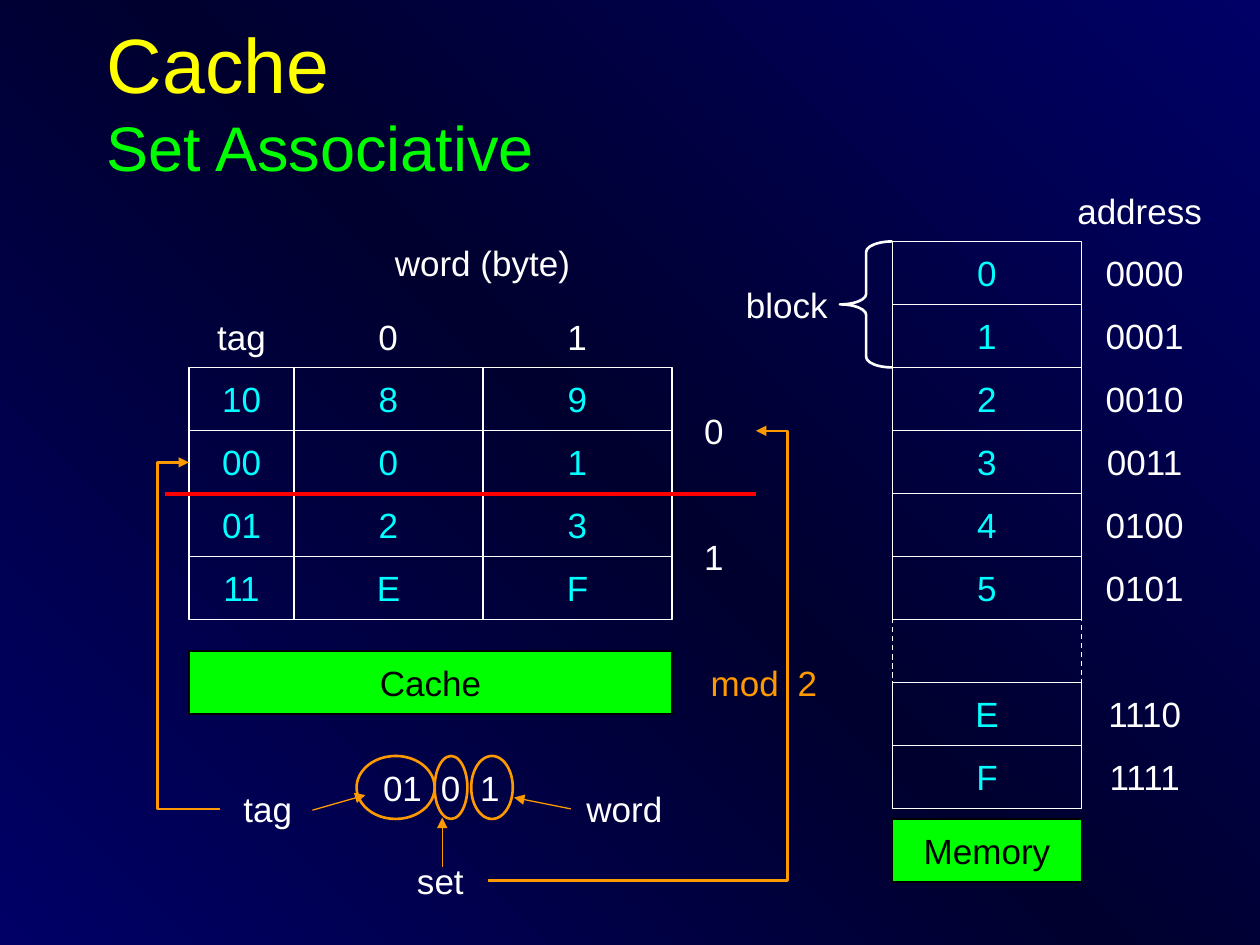
from copy import deepcopy
from dataclasses import dataclass

from lxml import etree
from pptx import Presentation
from pptx.dml.color import RGBColor
from pptx.enum.dml import MSO_LINE
from pptx.enum.shapes import MSO_CONNECTOR, MSO_SHAPE
from pptx.enum.text import MSO_ANCHOR, PP_ALIGN
from pptx.oxml.ns import qn
from pptx.util import Inches, Pt

RECT, OVAL, BRACE = MSO_SHAPE.RECTANGLE, MSO_SHAPE.OVAL, MSO_SHAPE.LEFT_BRACE
STRAIGHT, ELBOW = MSO_CONNECTOR.STRAIGHT, MSO_CONNECTOR.ELBOW
CENTER, LEFT, MIDDLE = PP_ALIGN.CENTER, PP_ALIGN.LEFT, MSO_ANCHOR.MIDDLE
DASH = MSO_LINE.DASH

NAVY = RGBColor(0x00, 0x00, 0x66)
MIDNIGHT = RGBColor(0x00, 0x00, 0x2F)
WHITE = RGBColor(0xFF, 0xFF, 0xFF)
BLACK = RGBColor(0x00, 0x00, 0x00)
YELLOW = RGBColor(0xFF, 0xFF, 0x00)
GREEN = RGBColor(0x00, 0xFF, 0x00)
CYAN = RGBColor(0x00, 0xFF, 0xFF)
ORANGE = RGBColor(0xFF, 0x99, 0x00)
RED = RGBColor(0xFF, 0x00, 0x00)

FONT = "Arial"
# The diagram sits on a grid of twelfths of an inch
GRID = 1 / 12
ROW = 6 * GRID
MEMORY_LEFT, MEMORY_TOP, MEMORY_WIDTH = 85 * GRID, 23 * GRID, 18 * GRID
CACHE_LEFT, CACHE_TOP = 18 * GRID, 35 * GRID
TAG_WIDTH, WORD_WIDTH = 10 * GRID, 18 * GRID
CACHE_WIDTH = TAG_WIDTH + 2 * WORD_WIDTH
BRACE_WIDTH = 5 * GRID
CAPTION_TOP = 62 * GRID

# One entry per memory row; None is the elided stretch
MEMORY = [("0", "0000"), ("1", "0001"), ("2", "0010"), ("3", "0011"),
          ("4", "0100"), ("5", "0101"), None, ("E", "1110"), ("F", "1111")]
CACHE = [("10", "8", "9"), ("00", "0", "1"), ("01", "2", "3"), ("11", "E", "F")]


@dataclass
class Label:
    text: str
    left: float
    top: float
    width: float
    color: RGBColor = WHITE
    tabs: tuple[float, ...] = ()


@dataclass
class Link:
    start: tuple[float, float]
    end: tuple[float, float]
    color: RGBColor = ORANGE
    weight: float = 0.75
    arrow: bool = True
    bend: float | None = None


LABELS = [
    Label("address", 8.42, 1.42, 1.25),
    Label("block", 5.83, 2.17, 0.83),
    Label("word (byte)", 2.33, 1.83, 3),
    Label("tag", 1.5, 2.42, TAG_WIDTH),
    Label("0", 2.33, 2.42, WORD_WIDTH),
    Label("1", 3.83, 2.42, WORD_WIDTH),
    Label("0", 5.33, 3.17, 0.67),
    Label("1", 5.33, 4.17, 0.67),
    Label("01\t0\t1", 3.04, 6, 1, tabs=(0.46, 0.77)),
    Label("tag", 1.75, 6.17, 0.75),
    Label("word", 4.58, 6.17, 0.75),
    Label("set", 3.12, 6.74, 0.75),
    Label("mod\t2", 5.64, 5.17, 0.9, ORANGE, tabs=(0.69,)),
]
ADDRESS_FIELDS = [(2.83, 0.62), (3.45, 0.26), (3.74, 0.33)]
LINKS = [
    Link((2.48, 6.43), (2.9, 6.31)),
    Link((4.53, 6.42), (4.08, 6.33)),
    Link((3.51, 6.88), (3.51, 6.49)),
    Link((1.75, 6.42), (1.5, 3.67), weight=1.5, bend=2),
    Link((3.87, 6.99), (6, 3.42), weight=1.5, bend=1.118),
    Link((1.31, 3.92), (6, 3.92), RED, 2.25, arrow=False),
]


def write(shape, text: str, color: RGBColor, align=CENTER):
    frame = shape.text_frame
    frame.word_wrap = True
    frame.margin_left = frame.margin_right = 0
    frame.vertical_anchor = MIDDLE
    paragraph = frame.paragraphs[0]
    paragraph.text = text
    paragraph.alignment = align
    paragraph.font.name = FONT
    paragraph.font.size = Pt(20)
    paragraph.font.color.rgb = color


def add_outline(slide, kind, left: float, top: float, width: float,
                height: float = ROW, line: RGBColor = WHITE, weight: float = 0.75):
    shape = slide.shapes.add_shape(kind, Inches(left), Inches(top),
                                   Inches(width), Inches(height))
    shape.shadow.inherit = False
    shape.fill.background()
    shape.line.color.rgb = line
    shape.line.width = Pt(weight)
    return shape


def add_caption(slide, text: str, left: float, top: float, width: float):
    caption = add_outline(slide, RECT, left, top, width, line=BLACK)
    caption.fill.solid()
    caption.fill.fore_color.rgb = GREEN
    write(caption, text, BLACK)


def add_label(slide, label: Label):
    box = slide.shapes.add_textbox(Inches(label.left), Inches(label.top),
                                   Inches(label.width), Inches(ROW))
    if label.tabs:
        properties = box.text_frame.paragraphs[0]._p.get_or_add_pPr()
        stops = etree.SubElement(properties, qn("a:tabLst"))
        for stop in label.tabs:
            etree.SubElement(stops, qn("a:tab"), pos=str(Inches(stop)), algn="l")
    write(box, label.text, label.color, LEFT if label.tabs else CENTER)


def add_link(slide, link: Link):
    kind = STRAIGHT if link.bend is None else ELBOW
    points = [Inches(value) for value in (*link.start, *link.end)]
    connector = slide.shapes.add_connector(kind, *points)
    connector.line.color.rgb = link.color
    connector.line.width = Pt(link.weight)
    properties = connector._element.spPr
    if link.arrow:
        etree.SubElement(properties.find(qn("a:ln")), qn("a:tailEnd"), type="triangle")
    if link.bend is not None:
        guides = properties.find(qn("a:prstGeom")).find(qn("a:avLst"))
        etree.SubElement(guides, qn("a:gd"), name="adj1",
                         fmla=f"val {round(link.bend * 100000)}")
    etree.SubElement(properties, qn("a:effectLst"))


def paint_background(slide):
    fill = slide.background.fill
    fill.gradient()
    fill.gradient_angle = 225
    stops = slide.element.find(".//" + qn("a:gsLst"))
    stops.append(deepcopy(stops[0]))
    for stop, position, color in zip(fill.gradient_stops, (0, 0.5, 1),
                                     (NAVY, MIDNIGHT, NAVY)):
        stop.position = position
        stop.color.rgb = color


def add_title(slide):
    box = slide.shapes.add_textbox(Inches(0.75), Inches(0.17), Inches(8.5), Inches(1.25))
    box.text_frame.word_wrap = True
    box.text_frame.vertical_anchor = MIDDLE
    paragraph = box.text_frame.paragraphs[0]
    paragraph.font.name = FONT
    for text, size, color in (("Cache", 44, YELLOW), ("Set Associative", 36, GREEN)):
        if paragraph.runs:
            paragraph.add_line_break()
        run = paragraph.add_run()
        run.text = text
        run.font.size = Pt(size)
        run.font.color.rgb = color


def add_memory(slide):
    # Dashed gap goes first so the solid cells cover its edges
    gap_top = MEMORY_TOP + MEMORY.index(None) * ROW
    gap = add_outline(slide, RECT, MEMORY_LEFT, gap_top, MEMORY_WIDTH)
    gap.line.dash_style = DASH
    for row, entry in enumerate(MEMORY):
        if entry:
            value, address = entry
            top = MEMORY_TOP + row * ROW
            write(add_outline(slide, RECT, MEMORY_LEFT, top, MEMORY_WIDTH), value, CYAN)
            add_label(slide, Label(address, 8.75, top, 0.67))
    add_caption(slide, "Memory", MEMORY_LEFT, 6.5, MEMORY_WIDTH)
    brace = add_outline(slide, BRACE, MEMORY_LEFT - BRACE_WIDTH, MEMORY_TOP,
                        BRACE_WIDTH, 2 * ROW, weight=1.5)
    brace.adjustments[0] = 0.2


def add_cache(slide):
    for row, values in enumerate(CACHE):
        left = CACHE_LEFT
        for value, width in zip(values, (TAG_WIDTH, WORD_WIDTH, WORD_WIDTH)):
            write(add_outline(slide, RECT, left, CACHE_TOP + row * ROW, width), value, CYAN)
            left += width
    add_caption(slide, "Cache", CACHE_LEFT, CAPTION_TOP, CACHE_WIDTH)


def main():
    deck = Presentation()
    deck.slide_width, deck.slide_height = Inches(10), Inches(7.5)
    slide = deck.slides.add_slide(deck.slide_layouts[6])
    paint_background(slide)
    add_title(slide)
    add_memory(slide)
    add_cache(slide)
    for label in LABELS:
        add_label(slide, label)
    # Rings around the tag, set and word bits
    for left, width in ADDRESS_FIELDS:
        add_outline(slide, OVAL, left, 6, width, line=ORANGE, weight=1.5)
    for link in LINKS:
        add_link(slide, link)
    deck.save("out.pptx")


if __name__ == "__main__":
    main()
